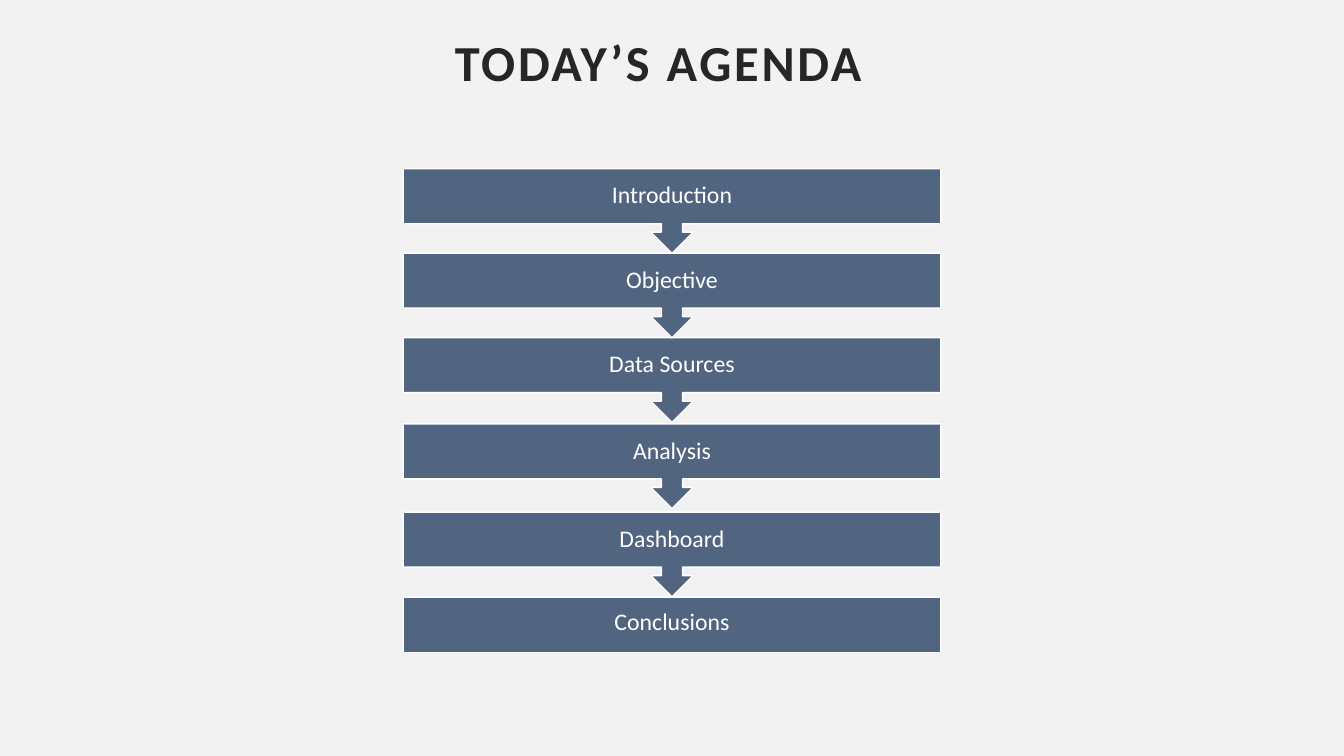
from dataclasses import dataclass

from pptx import Presentation
from pptx.dml.color import RGBColor
from pptx.enum.shapes import MSO_SHAPE
from pptx.enum.text import MSO_ANCHOR, MSO_AUTO_SIZE, PP_ALIGN
from pptx.shapes.autoshape import Shape
from pptx.slide import Slide
from pptx.util import Pt

FONT = "Calibri"
PAPER, INK, SLATE, WHITE = "F2F2F2", "262626", "526580", "FFFFFF"
LEFT, WIDTH = 288, 384
BOX, CALL = 39.6, 60.5  # height of a plain box and of a box with its arrow


@dataclass
class Step:
    label: str
    top: float
    last: bool = False


STEPS = [
    Step("Introduction", 120.5),
    Step("Objective", 180.8),
    Step("Data Sources", 241.2),
    Step("Analysis", 302.8),
    Step("Dashboard", 365.8),
    Step("Conclusions", 426.5, last=True),
]


def paint(target, color: str) -> None:
    """Give a fill a solid colour."""
    target.solid()
    target.fore_color.rgb = RGBColor.from_string(color)


def write(shape: Shape, text: str, *, size: float, color: str,
          bold: bool = False, track: float = 0, side: float = 7.2,
          top: float = 3.6, base: float = 3.6) -> None:
    """Set centred text with its font and insets."""
    frame = shape.text_frame
    frame.word_wrap = True
    frame.auto_size = MSO_AUTO_SIZE.NONE
    frame.vertical_anchor = MSO_ANCHOR.MIDDLE
    frame.margin_left = frame.margin_right = Pt(side)
    frame.margin_top, frame.margin_bottom = Pt(top), Pt(base)
    para = frame.paragraphs[0]
    para.alignment = PP_ALIGN.CENTER
    para.line_spacing = 0.9
    run = para.add_run()
    run.text = text
    font = run.font
    font.name, font.size, font.bold = FONT, Pt(size), bold
    paint(font.fill, color)
    if track:
        run._r.get_or_add_rPr().set("spc", str(round(track * 100)))


def add_step(slide: Slide, step: Step) -> None:
    """Draw one agenda step; all but the last point down to the next."""
    kind = MSO_SHAPE.RECTANGLE if step.last else MSO_SHAPE.DOWN_ARROW_CALLOUT
    high = BOX if step.last else CALL
    shape = slide.shapes.add_shape(
        kind, Pt(LEFT), Pt(step.top), Pt(WIDTH), Pt(high))
    if not step.last:
        for i, value in enumerate((0.25, 0.25, 0.25, 0.65)):
            shape.adjustments[i] = value
    shape.shadow.inherit = False
    paint(shape.fill, SLATE)
    paint(shape.line.fill, WHITE)
    shape.line.width = Pt(1)
    lift = 1.6 if step.last else 0
    write(shape, step.label, size=17, color=WHITE, side=9.4,
          top=9.4 - lift, base=9.4 + lift)


def main() -> None:
    deck = Presentation()
    deck.slide_width, deck.slide_height = Pt(960), Pt(540)
    slide = deck.slides.add_slide(deck.slide_layouts[5])
    paint(slide.background.fill, PAPER)

    # Title
    title = slide.shapes.title
    title.left, title.top = Pt(12), Pt(14.4)
    title.width, title.height = Pt(916.6), Pt(64)
    write(title, "TODAY’S AGENDA", size=36, color=INK, bold=True, track=2)

    # Agenda steps, last first so that each arrow lies over the next box
    for step in reversed(STEPS):
        add_step(slide, step)

    deck.save("out.pptx")


if __name__ == "__main__":
    main()
